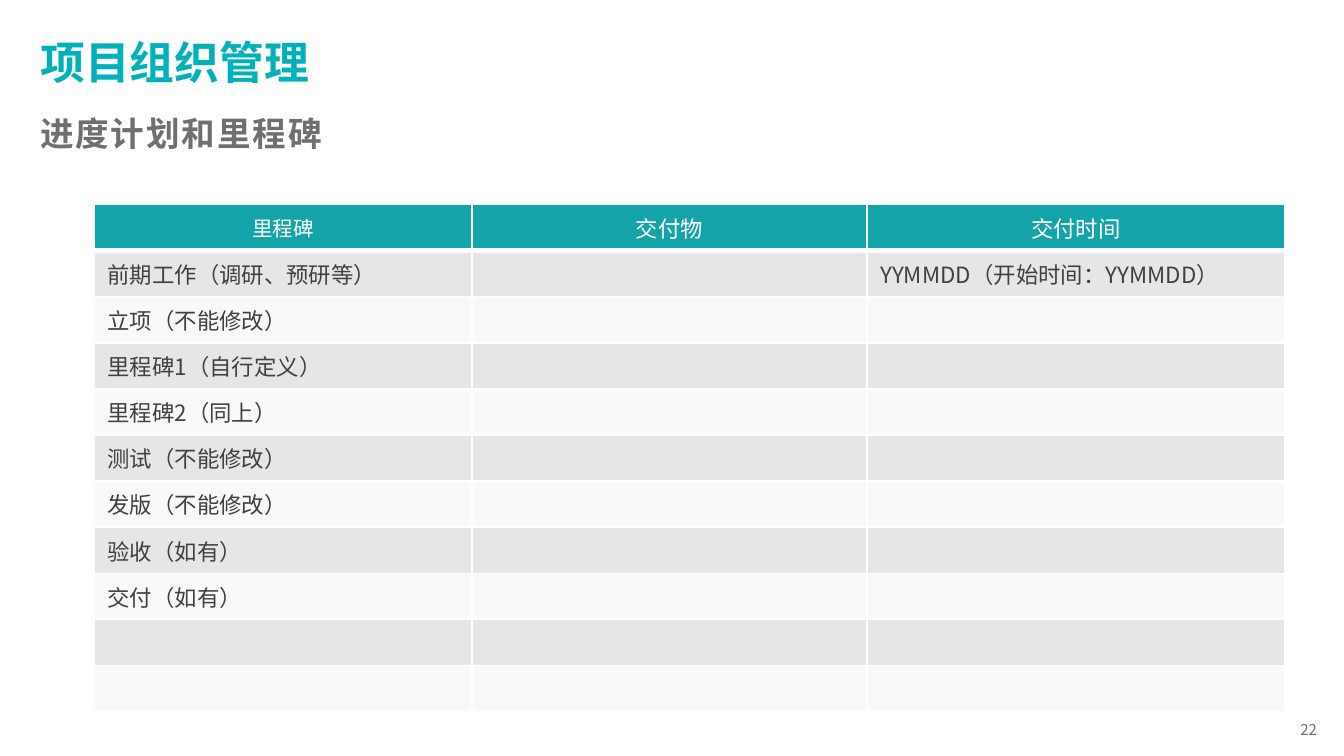
from pptx import Presentation
from pptx.dml.color import RGBColor
from pptx.enum.text import MSO_ANCHOR, MSO_AUTO_SIZE, PP_ALIGN
from pptx.oxml import parse_xml
from pptx.oxml.ns import nsdecls, qn
from pptx.util import Inches, Pt

FONT = "Noto Sans CJK SC"
TEAL, HEADER_TEAL, GREY, DARK, WHITE = "00B1B9", "15A3AA", "6F6F6F", "404040", "FFFFFF"
BANDS = ("E6E6E6", "F9F9F9")

HEADERS = ("里程碑", "交付物", "交付时间")
MILESTONES = (
    ("前期工作（调研、预研等）", "", "YYMMDD（开始时间：YYMMDD）"),
    ("立项（不能修改）", "", ""),
    ("里程碑1（自行定义）", "", ""),
    ("里程碑2（同上）", "", ""),
    ("测试（不能修改）", "", ""),
    ("发版（不能修改）", "", ""),
    ("验收（如有）", "", ""),
    ("交付（如有）", "", ""),
    ("", "", ""),
    ("", "", ""),
)


def rgb(color):
    return RGBColor.from_string(color)


def add_run(paragraph, text, size, color, bold=False, spacing=0):
    run = paragraph.add_run()
    run.text = text
    run.font.name = FONT
    run.font.size = Pt(size)
    run.font.bold = bold
    run.font.color.rgb = rgb(color)
    properties = run.font._element
    properties.find(qn("a:latin")).addnext(
        parse_xml(f'<a:ea {nsdecls("a")} typeface="{FONT}"/>'))
    if spacing:
        properties.set("spc", str(spacing * 100))


def place(shape, box):
    shape.left, shape.top, shape.width, shape.height = map(Inches, box)


def add_title(slide, text, box):
    title = slide.shapes.title
    place(title, box)
    frame = title.text_frame
    frame.auto_size = MSO_AUTO_SIZE.NONE
    frame.vertical_anchor = MSO_ANCHOR.TOP
    paragraph = frame.paragraphs[0]
    paragraph.alignment = PP_ALIGN.LEFT
    add_run(paragraph, text, 24, TEAL, bold=True)


def add_label(slide, box, alignment=PP_ALIGN.LEFT):
    """Add a vertically centred text box and return its paragraph and frame."""
    frame = slide.shapes.add_textbox(*map(Inches, box)).text_frame
    frame.word_wrap = True
    frame.vertical_anchor = MSO_ANCHOR.MIDDLE
    frame.paragraphs[0].alignment = alignment
    return frame.paragraphs[0], frame


def add_subtitle(slide, text, box):
    paragraph, _ = add_label(slide, box)
    add_run(paragraph, text, 18, GREY, bold=True, spacing=1)


def add_page_number(slide, text, box):
    paragraph, frame = add_label(slide, box, PP_ALIGN.RIGHT)
    frame.margin_left = frame.margin_top = frame.margin_right = frame.margin_bottom = 0
    add_run(paragraph, text, 8, GREY)


def set_borders(cell, top, bottom):
    properties = cell._tc.get_or_add_tcPr()
    widths = (("lnL", 1), ("lnR", 1), ("lnT", top), ("lnB", bottom))
    for index, (side, width) in enumerate(widths):
        properties.insert(index, parse_xml(
            f'<a:{side} {nsdecls("a")} w="{Pt(width)}"><a:solidFill>'
            f'<a:srgbClr val="{WHITE}"/></a:solidFill></a:{side}>'))


def fill_cell(cell, text, fill, color, size, alignment):
    cell.fill.solid()
    cell.fill.fore_color.rgb = rgb(fill)
    cell.vertical_anchor = MSO_ANCHOR.MIDDLE
    paragraph = cell.text_frame.paragraphs[0]
    paragraph.alignment = alignment
    if text:
        add_run(paragraph, text, size, color)
    else:
        # Keep empty rows as low as the filled ones
        paragraph._p.append(parse_xml(f'<a:endParaRPr {nsdecls("a")} sz="{size * 100}"/>'))


def add_milestone_table(slide, box, column_widths):
    rows = (HEADERS,) + MILESTONES
    table = slide.shapes.add_table(len(rows), len(HEADERS), *map(Inches, box)).table
    for column, width in zip(table.columns, column_widths):
        column.width = Inches(width)

    for row_index, row in enumerate(rows):
        is_header = row_index == 0
        fill = HEADER_TEAL if is_header else BANDS[(row_index - 1) % 2]
        color = WHITE if is_header else DARK
        alignment = PP_ALIGN.CENTER if is_header else PP_ALIGN.LEFT
        for column_index, text in enumerate(row):
            cell = table.cell(row_index, column_index)
            size = 11 if is_header and column_index == 0 else 12
            fill_cell(cell, text, fill, color, size, alignment)
            set_borders(cell, top=3 if row_index == 1 else 1, bottom=3 if is_header else 1)

    # The first header cell has no padding
    corner = table.cell(0, 0)
    corner.margin_left = corner.margin_top = corner.margin_right = corner.margin_bottom = 0


def main():
    presentation = Presentation()
    # Widescreen, 16 to 9
    presentation.slide_width = Inches(10)
    presentation.slide_height = presentation.slide_width * 9 // 16
    slide = presentation.slides.add_slide(presentation.slide_layouts[5])

    add_title(slide, "项目组织管理", (0.2, 0.21, 7.05, 0.55))
    add_subtitle(slide, "进度计划和里程碑", (0.2, 0.77, 7.05, 0.44))
    add_milestone_table(slide, (0.7, 1.52, 8.87, 3.78), (2.81, 2.94, 3.11))
    add_page_number(slide, "22", (8.87, 5.36, 0.93, 0.14))

    presentation.save("out.pptx")


if __name__ == "__main__":
    main()
